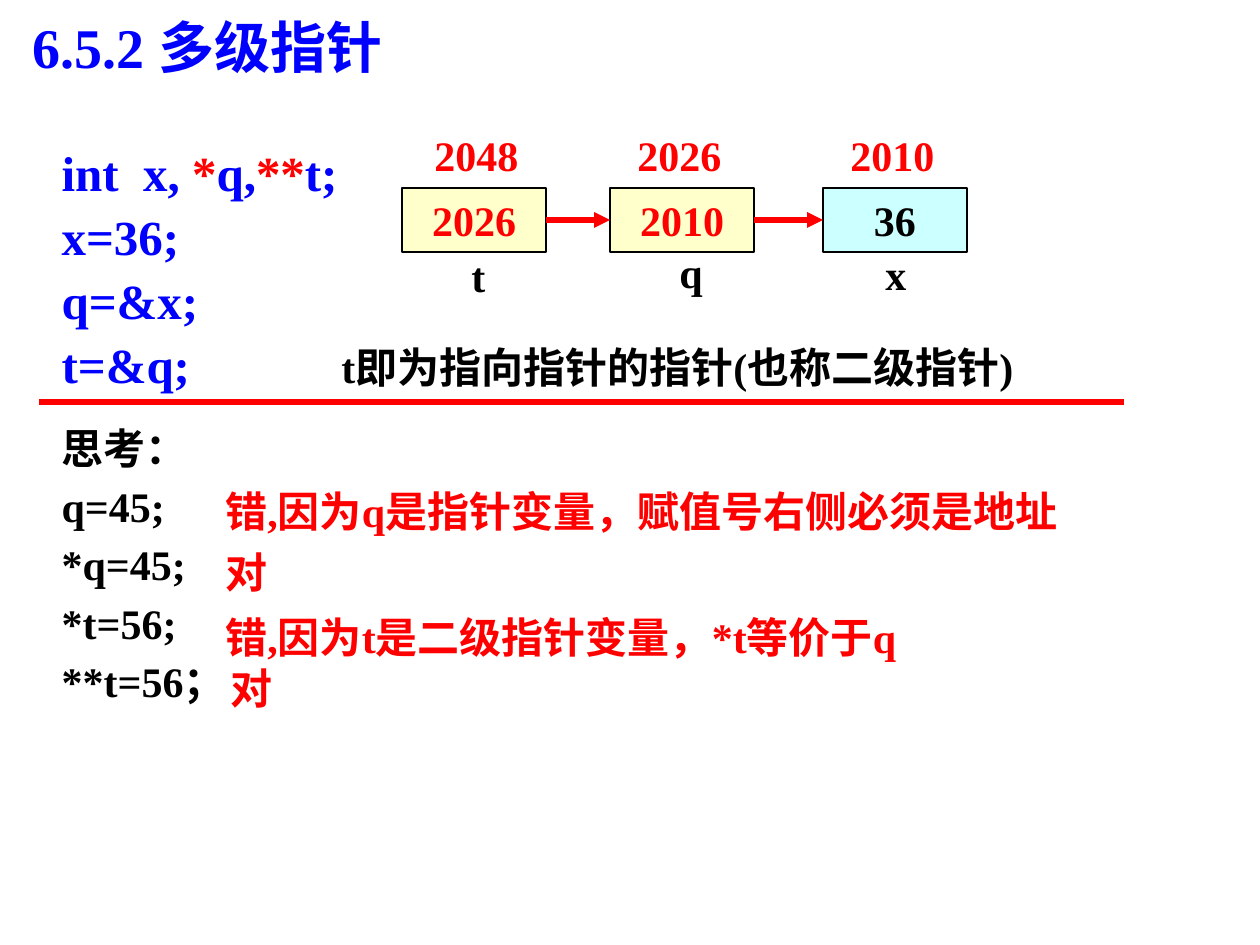
from dataclasses import dataclass
from typing import Any

import pptx
import pptx.dml.color
import pptx.enum.shapes
import pptx.enum.text
import pptx.oxml
import pptx.oxml.ns
import pptx.util

SCALE = 914400 // 126
ALIGN = pptx.enum.text.PP_ALIGN
ANCHOR = pptx.enum.text.MSO_ANCHOR


@dataclass(frozen=True)
class Theme:
    font: str = "Times New Roman"
    blue: str = "0000FF"
    red: str = "FF0000"
    black: str = "000000"
    cream: str = "FFFFCC"
    aqua: str = "CCFFFF"
    head: int = 32
    code: int = 28
    body: int = 24


@dataclass(frozen=True)
class Cell:
    left: int
    fill: str
    value: str
    ink: str
    addr: str
    addr_x: int
    name: str
    name_x: int
    name_y: int


@dataclass(frozen=True)
class Note:
    left: int
    top: int
    width: int
    text: str
    ink: str


Run = tuple[str, str]
THEME = Theme()
CELL_TOP, CELL_W, CELL_H = 188, 144, 64
ADDR_TOP, LABEL_H = 123, 63

CELLS = [
    Cell(402, THEME.cream, "2026", THEME.red, "2048", 422, "t", 459, 244),
    Cell(610, THEME.cream, "2010", THEME.red, "2026", 625, "q", 667, 240),
    Cell(823, THEME.aqua, "36", THEME.black, "2010", 838, "x", 873, 242),
]

NOTES = [
    Note(329, 335, 916, "t即为指向指针的指针(也称二级指针)", THEME.black),
    Note(213, 479, 948, "错,因为q是指针变量，赋值号右侧必须是地址", THEME.red),
    Note(213, 540, 80, "对", THEME.red),
    Note(213, 605, 809, "错,因为t是二级指针变量，*t等价于q", THEME.red),
    Note(218, 656, 80, "对", THEME.red),
]

CODE: list[list[Run]] = [
    [("int  x, ", THEME.blue), ("*", THEME.red), ("q,", THEME.blue),
     ("**", THEME.red), ("t;", THEME.blue)],
    *[[(line, THEME.blue)] for line in ("x=36;", "q=&x;", "t=&q;")],
]
QUIZ: list[list[Run]] = [
    [(line, THEME.black)]
    for line in ("思考：", "q=45;", "*q=45;", "*t=56;", "**t=56；")
]


def px(size: int) -> int:
    return pptx.util.Emu(size * SCALE)


def tint(code: str) -> Any:
    return pptx.dml.color.RGBColor.from_string(code)


def apply(item: Any, values: dict[str, Any]) -> None:
    for key, value in values.items():
        setattr(item, key, value)


def place(shape: Any, left: int, top: int, width: int, height: int) -> None:
    apply(shape, {"left": px(left), "top": px(top),
                  "width": px(width), "height": px(height)})


def write(shape: Any, lines: list[list[Run]], size: int, gap: float = 0,
          align: Any = ALIGN.LEFT, anchor: Any = ANCHOR.TOP,
          pitch: float = 1.0, plain: bool = False) -> None:
    frame = shape.text_frame
    apply(frame, {"word_wrap": True, "vertical_anchor": anchor,
                  "auto_size": pptx.enum.text.MSO_AUTO_SIZE.NONE})
    for index, line in enumerate(lines):
        para = frame.paragraphs[0] if index == 0 else frame.add_paragraph()
        if plain:
            props = para._p.get_or_add_pPr()
            props.set("marL", "0")
            props.set("indent", "0")
            props.append(pptx.oxml.parse_xml(
                f'<a:buNone {pptx.oxml.ns.nsdecls("a")}/>'))
        apply(para, {"alignment": align, "line_spacing": pitch,
                     "space_before": pptx.util.Pt(gap if index else 0)})
        for text, ink in line:
            run = para.add_run()
            run.text = text
            apply(run.font, {"name": THEME.font, "bold": True,
                             "size": pptx.util.Pt(size)})
            run.font.color.rgb = tint(ink)


def label(slide: Any, left: int, top: int, width: int, text: str, ink: str) -> None:
    box = slide.shapes.add_textbox(px(left), px(top), px(width), px(LABEL_H))
    write(box, [[(text, ink)]], THEME.body)


def draw_cell(slide: Any, cell: Cell) -> Any:
    box = slide.shapes.add_shape(
        pptx.enum.shapes.MSO_SHAPE.RECTANGLE,
        px(cell.left), px(CELL_TOP), px(CELL_W), px(CELL_H))
    box.shadow.inherit = False
    box.fill.solid()
    box.fill.fore_color.rgb = tint(cell.fill)
    box.line.color.rgb = tint(THEME.black)
    box.line.width = pptx.util.Pt(0.75)
    write(box, [[(cell.value, cell.ink)]], THEME.body,
          align=ALIGN.CENTER, anchor=ANCHOR.MIDDLE)
    label(slide, cell.addr_x, ADDR_TOP, 110, cell.addr, THEME.red)
    label(slide, cell.name_x, cell.name_y, 56, cell.name, THEME.black)
    return box


def draw_line(slide: Any, left: int, right: int, y: int) -> Any:
    line = slide.shapes.add_connector(
        pptx.enum.shapes.MSO_CONNECTOR.STRAIGHT, px(left), px(y), px(right), px(y))
    line.line.color.rgb = tint(THEME.red)
    line.line.width = pptx.util.Pt(3)
    line._element.spPr.append(pptx.oxml.parse_xml(
        f'<a:effectLst {pptx.oxml.ns.nsdecls("a")}/>'))
    return line


def link(slide: Any, start: Any, end: Any) -> None:
    line = draw_line(slide, 0, 0, CELL_TOP + CELL_H // 2)
    line.begin_connect(start, 3)
    line.end_connect(end, 1)
    line.line._get_or_add_ln().append(pptx.oxml.parse_xml(
        f'<a:tailEnd {pptx.oxml.ns.nsdecls("a")} type="triangle"/>'))


def main() -> None:
    deck = pptx.Presentation()
    apply(deck, {"slide_width": px(1260), "slide_height": px(945)})
    slide = deck.slides.add_slide(deck.slide_layouts[3])
    title, code, quiz = slide.placeholders

    place(title, 20, 13, 675, 74)
    write(title, [[("6.5.2 多级指针", THEME.blue)]], THEME.head,
          anchor=ANCHOR.MIDDLE, pitch=0.9)
    place(code, 49, 136, 320, 264)
    write(code, CODE, THEME.code, gap=3, plain=True)
    place(quiz, 49, 416, 218, 304)
    write(quiz, QUIZ, THEME.body, gap=4.5, plain=True)

    boxes = [draw_cell(slide, cell) for cell in CELLS]
    for start, end in zip(boxes, boxes[1:]):
        link(slide, start, end)
    draw_line(slide, 39, 1124, 402)
    for note in NOTES:
        label(slide, note.left, note.top, note.width, note.text, note.ink)
    deck.save("out.pptx")


if __name__ == "__main__":
    main()
